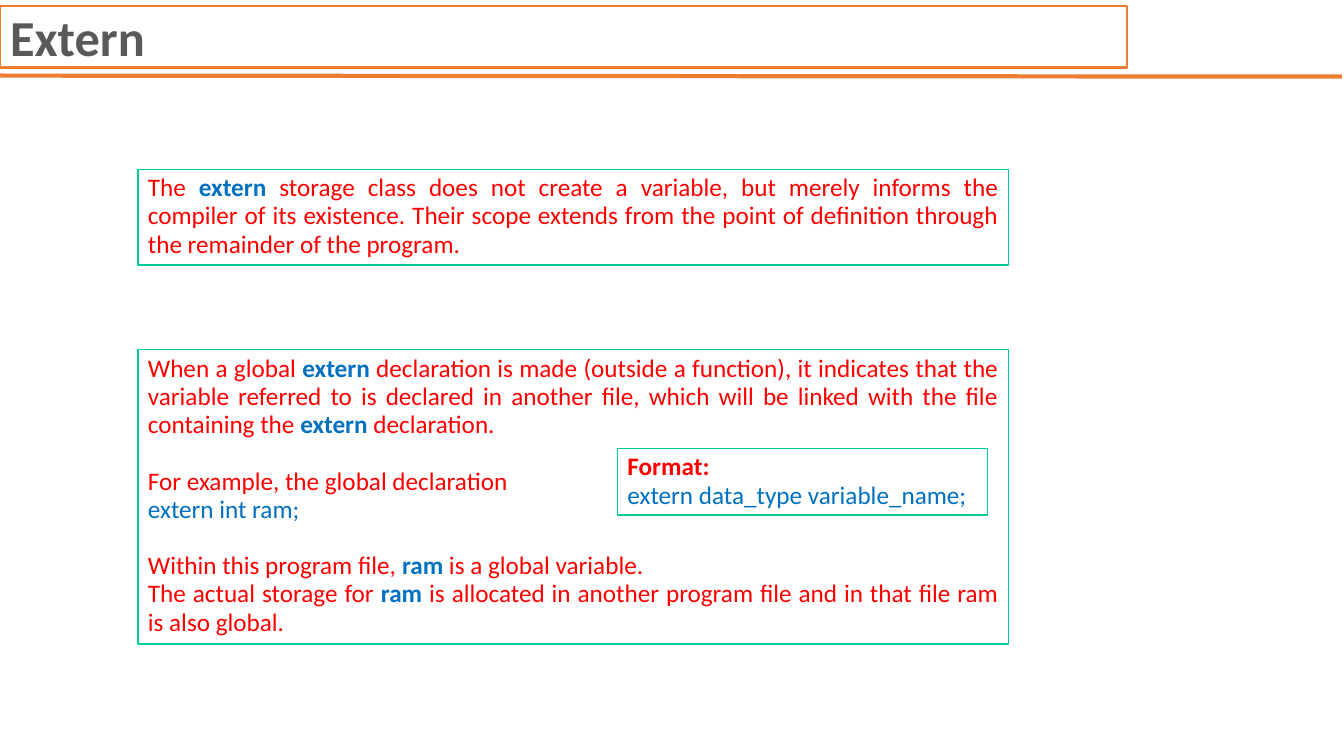
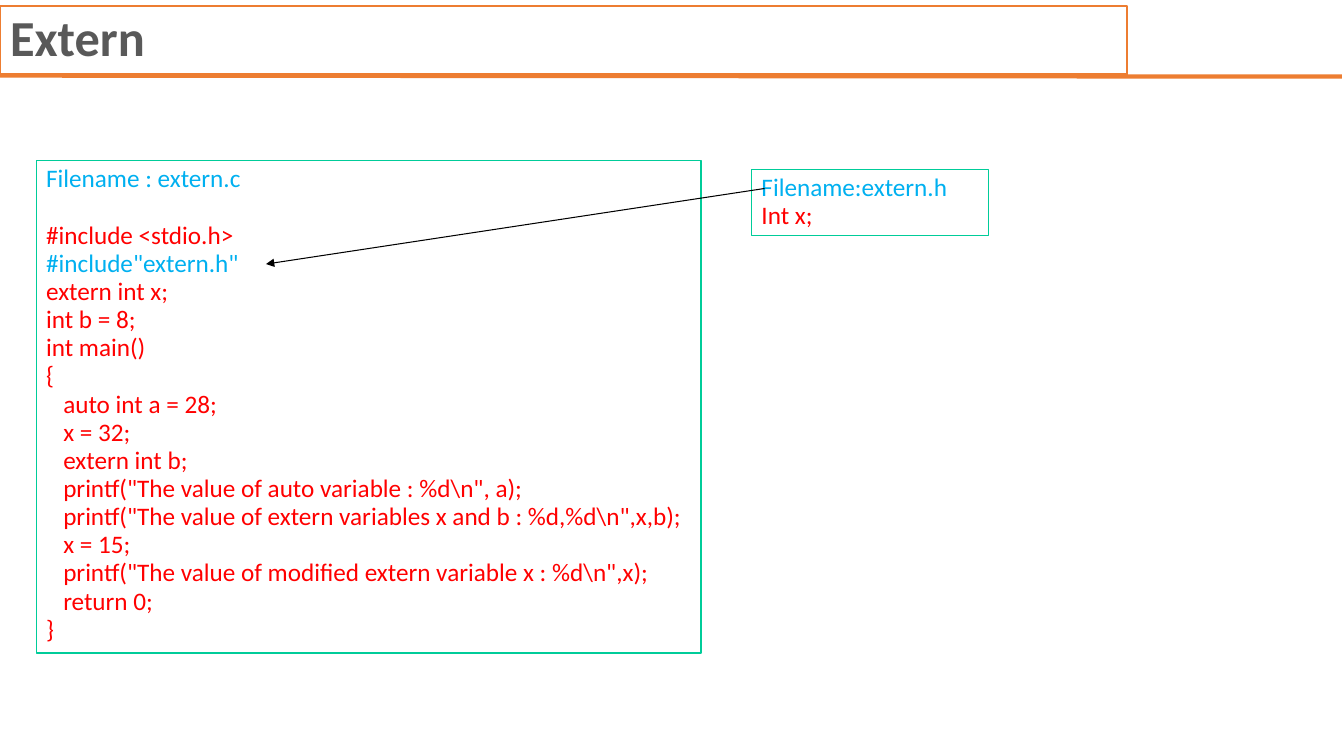
"""Build two slides on the extern storage class."""
import dataclasses

import lxml.etree
import pptx
import pptx.dml.color
import pptx.enum.shapes
import pptx.enum.text
import pptx.oxml.ns
import pptx.shapes.autoshape
import pptx.shapes.connector
import pptx.slide
import pptx.text.text
import pptx.util

Inches = pptx.util.Inches
Pt = pptx.util.Pt
Align = pptx.enum.text.PP_ALIGN
qn = pptx.oxml.ns.qn

ORANGE, GREEN, GREY = "ED7D31", "00CC99", "595959"
RED, BLUE, CYAN = "FF0000", "0070C0", "00B0F0"
WHITE, BLACK = "FFFFFF", "000000"
FONT = "Calibri"
SPACING = 0.93
GAP = 20.3
DENT = 0.17


@dataclasses.dataclass(frozen=True)
class Line:
    """A paragraph; the parts between bars are bold blue keywords."""
    text: str
    hue: str = RED
    bold: bool = False
    gap: bool = False
    dent: bool = False


@dataclasses.dataclass(frozen=True)
class Box:
    """A framed text box, measured in inches."""
    left: float
    top: float
    width: float
    height: float
    lines: tuple[Line, ...]
    align: Align = Align.JUSTIFY


@dataclasses.dataclass(frozen=True)
class Page:
    """A slide's title height and its boxes."""
    height: float
    boxes: tuple[Box, ...]


def code(*rows: str) -> tuple[Line, ...]:
    """Return indented lines of program code."""
    return tuple(Line(row, dent=True) for row in rows)


PAGES = (
    Page(0.61, (
        Box(1.37, 1.68, 8.64, 0.95, (
            Line("The |extern| storage class does not create a variable, but merely "
                 "informs the compiler of its existence. Their scope extends from the "
                 "point of definition through the remainder of the program."),
        )),
        Box(1.37, 3.47, 8.64, 2.92, (
            Line("When a global |extern| declaration is made (outside a function), "
                 "it indicates that the variable referred to is declared in another "
                 "file, which will be linked with the file containing the |extern"
                 "| declaration."),
            Line("For example, the global declaration", gap=True),
            Line("extern int ram;", BLUE),
            Line("Within this program file, |ram| is a global variable.", gap=True),
            Line("The actual storage for |ram| is allocated in another program file "
                 "and in that file ram is also global."),
        )),
        Box(6.13, 4.45, 3.67, 0.66, (
            Line("Format:", bold=True),
            Line("extern data_type variable_name;", BLUE),
        )),
    )),
    Page(0.68, (
        Box(0.36, 1.59, 6.6, 4.89, (
            Line("Filename : extern.c", CYAN),
            Line("#include <stdio.h>", gap=True),
            Line('#include"extern.h"', CYAN),
            Line("extern int x;"),
            Line("int b = 8;"),
            Line("int main()"),
            Line("{"),
            *code(
                "auto int a = 28;",
                "x = 32;",
                "extern int b;",
                r'printf("The value of auto variable : %d\n", a);',
                r'printf("The value of extern variables x and b : %d,%d\n",x,b);',
                "x = 15;",
                r'printf("The value of modified extern variable x : %d\n",x);',
                "return 0;",
            ),
            Line("}"),
        )),
        Box(7.46, 1.68, 2.35, 0.66, (
            Line("Filename:extern.h", CYAN),
            Line("Int x;"),
        ), Align.LEFT),
    )),
)


def color(hue: str) -> pptx.dml.color.RGBColor:
    """Turn a hex string into a colour."""
    return pptx.dml.color.RGBColor.from_string(hue)


def style(font: pptx.text.text.Font, size: float, hue: str, bold: bool) -> None:
    """Set the face, size, colour and weight of a font."""
    font.name = FONT
    font.size = Pt(size)
    font.bold = bold
    font.color.rgb = color(hue)


def edge(shape: pptx.shapes.autoshape.Shape, hue: str, width: float) -> None:
    """Outline a shape."""
    shape.line.color.rgb = color(hue)
    shape.line.width = Pt(width)


def rule(slide: pptx.slide.Slide, start: tuple[float, float], end: tuple[float, float],
         hue: str, width: float) -> pptx.shapes.connector.Connector:
    """Draw a straight line without a shadow."""
    line = slide.shapes.add_connector(
        pptx.enum.shapes.MSO_CONNECTOR.STRAIGHT, *map(Inches, start + end))
    edge(line, hue, width)
    lxml.etree.SubElement(line.element.spPr, qn("a:effectLst"))
    return line


def head(slide: pptx.slide.Slide, height: float) -> None:
    """Place and format the framed title."""
    title = slide.shapes.title
    title.left, title.top, title.width, title.height = map(Inches, (0, 0.06, 11.19, height))
    edge(title, ORANGE, 1.5)
    frame = title.text_frame
    frame.text = "Extern"
    frame.auto_size = pptx.enum.text.MSO_AUTO_SIZE.NONE
    frame.vertical_anchor = pptx.enum.text.MSO_ANCHOR.TOP
    para = frame.paragraphs[0]
    para.alignment = Align.LEFT
    para.line_spacing = SPACING
    style(para.font, 36, GREY, True)


def write(para: pptx.text.text._Paragraph, line: Line, align: Align) -> None:
    """Fill a paragraph, marking its keywords."""
    para.alignment = align
    para.line_spacing = SPACING
    style(para.font, 18, line.hue, line.bold)
    if line.gap:
        para.space_before = Pt(GAP)
    if line.dent:
        para._p.get_or_add_pPr().set("marL", str(Inches(DENT)))
    for rank, part in enumerate(line.text.split("|")):
        run = para.add_run()
        run.text = part
        if rank % 2:
            run.font.bold = True
            run.font.color.rgb = color(BLUE)


def panel(slide: pptx.slide.Slide, box: Box) -> None:
    """Draw a white framed box of text."""
    shape = slide.shapes.add_textbox(
        *map(Inches, (box.left, box.top, box.width, box.height)))
    shape.fill.solid()
    shape.fill.fore_color.rgb = color(WHITE)
    edge(shape, GREEN, 1)
    frame = shape.text_frame
    frame.word_wrap = True
    for rank, line in enumerate(box.lines):
        para = frame.add_paragraph() if rank else frame.paragraphs[0]
        write(para, line, box.align)


def main() -> None:
    """Build and save the slides."""
    deck = pptx.Presentation()
    deck.slide_width, deck.slide_height = Inches(13.34), Inches(7.5)
    layout = deck.slide_layouts.get_by_name("Title Only")
    slides = [deck.slides.add_slide(layout) for _ in PAGES]
    band = rule(slides[0], (-0.01, 0.75), (13.32, 0.76), ORANGE, 3)
    layout.shapes.element.append(band.element)
    for slide, page in zip(slides, PAGES):
        head(slide, page.height)
        for box in page.boxes:
            panel(slide, box)
    arrow = rule(slides[1], (7.59, 1.87), (2.64, 2.62), BLACK, 0.75)
    lxml.etree.SubElement(arrow.element.spPr.find(qn("a:ln")), qn("a:tailEnd"), type="triangle")
    deck.save("out.pptx")


if __name__ == "__main__":
    main()
